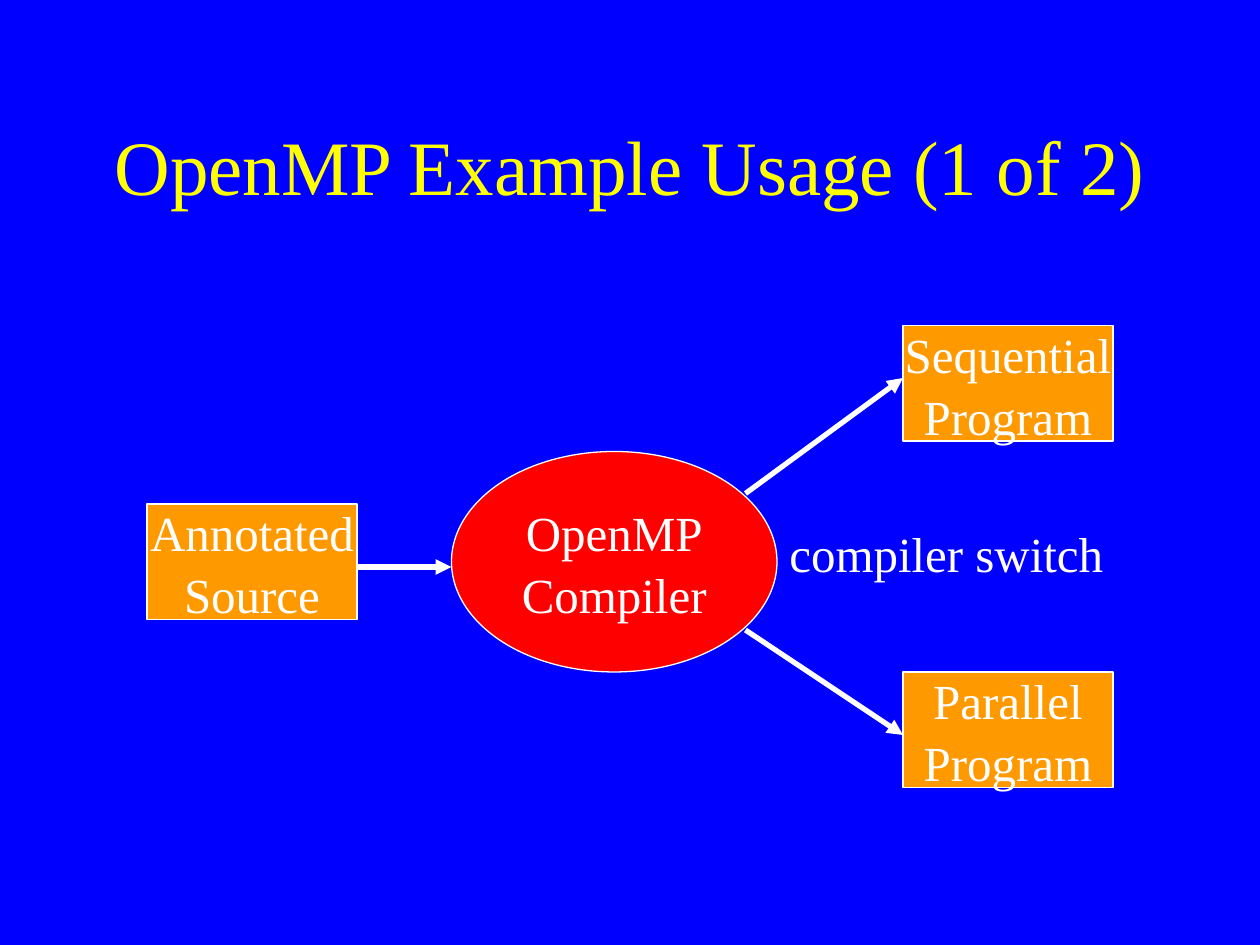
from lxml.etree import SubElement
from pptx import Presentation
from pptx.dml.color import RGBColor
from pptx.enum.shapes import MSO_CONNECTOR, MSO_SHAPE
from pptx.enum.text import MSO_ANCHOR, PP_ALIGN
from pptx.oxml.ns import qn
from pptx.util import Inches, Pt

BLUE = RGBColor(0x00, 0x00, 0xFF)
YELLOW = RGBColor(0xFF, 0xFF, 0x00)
RED = RGBColor(0xFF, 0x00, 0x00)
ORANGE = RGBColor(0xFF, 0x99, 0x00)
WHITE = RGBColor(0xFF, 0xFF, 0xFF)

# Grid of 120 columns by 90 rows, twelve to the inch
COLUMNS, ROWS = 120, 90
PROGRAM_SIZE = (20, 11)
BODY_FORMAT = {"name": "Times New Roman", "size": Pt(28)}
TITLE_FORMAT = {"name": "Times New Roman", "size": Pt(44)}


def grid(*units):
    return [Inches(unit / 12) for unit in units]


def write_text(shape, lines, font_format=BODY_FORMAT, color=WHITE,
               align=PP_ALIGN.CENTER, anchor=MSO_ANCHOR.MIDDLE, wrap=False):
    frame = shape.text_frame
    frame.word_wrap = wrap
    frame.vertical_anchor = anchor
    for index, line in enumerate(lines):
        para = frame.paragraphs[0] if index == 0 else frame.add_paragraph()
        para.alignment = align
        para.line_spacing = 1.05
        span = para.add_run()
        span.text = line
        for name, value in font_format.items():
            setattr(span.font, name, value)
        span.font.color.rgb = color


def add_node(page, kind, position, size, fill, lines):
    node = page.shapes.add_shape(kind, *grid(*position, *size))
    node.shadow.inherit = False
    node.fill.solid()
    node.fill.fore_color.rgb = fill
    node.line.color.rgb = WHITE
    node.line.width = Pt(0.75)
    write_text(node, lines)


def add_label(page, position, size, text, **text_format):
    box = page.shapes.add_textbox(*grid(*position, *size))
    write_text(box, [text], **text_format)


def add_arrow(page, start, end):
    arrow = page.shapes.add_connector(MSO_CONNECTOR.STRAIGHT, *grid(*start, *end))
    arrow.line.color.rgb = WHITE
    arrow.line.width = Pt(3)
    SubElement(arrow.line._get_or_add_ln(), qn("a:tailEnd"), type="triangle")
    SubElement(arrow._element.spPr, qn("a:effectLst"))


def main():
    deck = Presentation()
    deck.slide_width, deck.slide_height = grid(COLUMNS, ROWS)
    page = deck.slides.add_slide(deck.slide_layouts[6])
    page.background.fill.solid()
    page.background.fill.fore_color.rgb = BLUE

    # Title
    add_label(page, (9, 8), (102, 15), "OpenMP Example Usage (1 of 2)",
              font_format=TITLE_FORMAT, color=YELLOW, wrap=True)

    # Compiler with its source and its two outputs
    add_node(page, MSO_SHAPE.OVAL, (43, 43), (31, 21), RED, ["OpenMP", "Compiler"])
    programs = [
        ((14, 48), ["Annotated", "Source"]),
        ((86, 31), ["Sequential", "Program"]),
        ((86, 64), ["Parallel", "Program"]),
    ]
    for position, lines in programs:
        add_node(page, MSO_SHAPE.RECTANGLE, position, PROGRAM_SIZE, ORANGE, lines)

    # Flow
    for start, end in [((34, 54), (43, 54)), ((71, 47), (86, 36)), ((71, 60), (86, 70))]:
        add_arrow(page, start, end)

    # Choice between the outputs
    add_label(page, (74, 49), (32.3, 6.8), "compiler switch",
              align=PP_ALIGN.LEFT, anchor=MSO_ANCHOR.TOP)

    deck.save("out.pptx")


if __name__ == "__main__":
    main()
